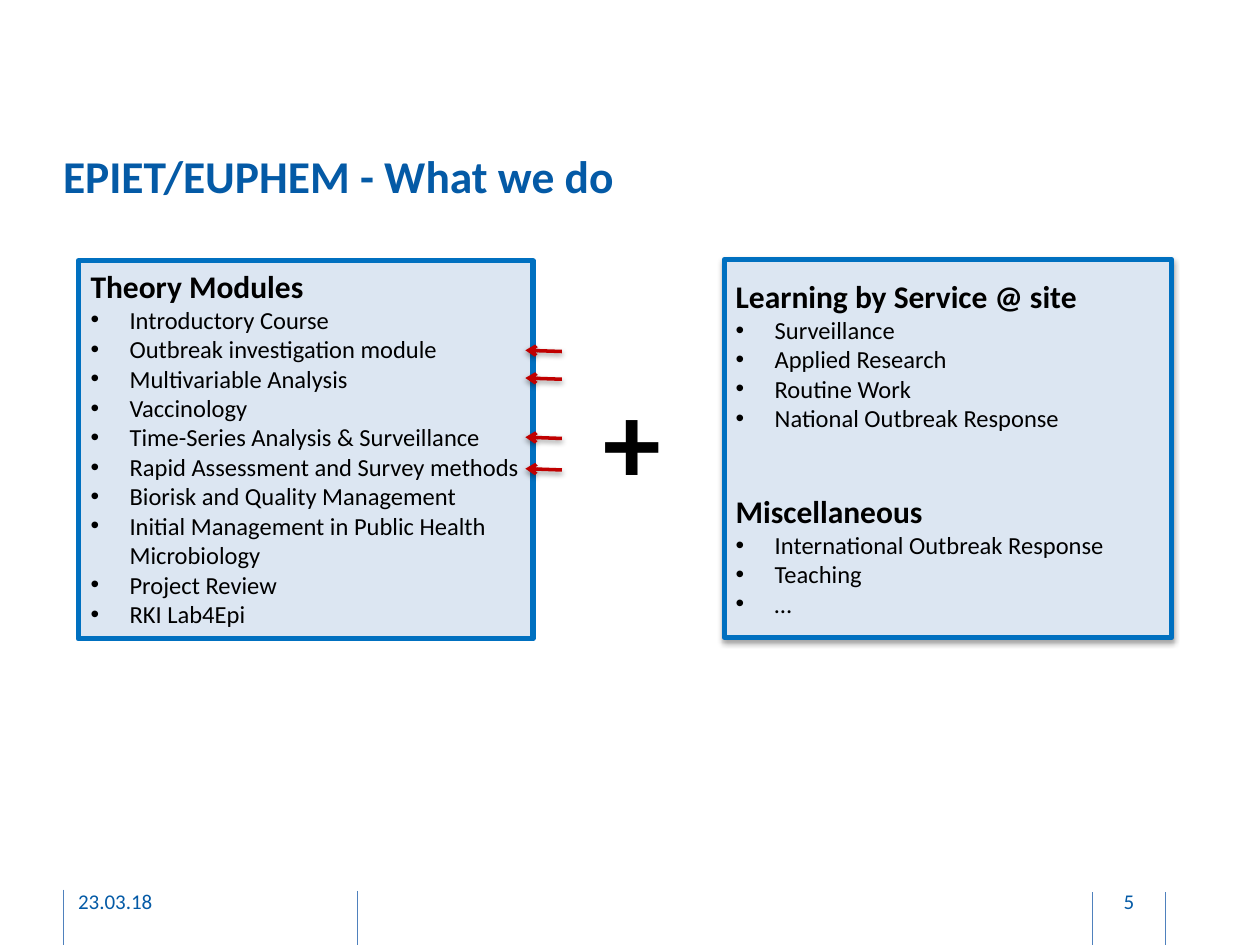
from lxml.etree import SubElement
from pptx import Presentation
from pptx.dml.color import RGBColor
from pptx.enum.shapes import MSO_CONNECTOR, MSO_SHAPE
from pptx.enum.text import MSO_ANCHOR, PP_ALIGN
from pptx.oxml.ns import qn
from pptx.util import Inches, Pt

# Content
TITLE = "EPIET/EUPHEM - What we do"
THEORY = [
    ("Theory Modules", [
        "Introductory Course",
        "Outbreak investigation module",
        "Multivariable Analysis",
        "Vaccinology",
        "Time-Series Analysis & Surveillance",
        "Rapid Assessment and Survey methods",
        "Biorisk and Quality Management",
        "Initial Management in Public Health Microbiology",
        "Project Review",
        "RKI Lab4Epi",
    ]),
]
SERVICE = [
    ("Learning by Service @ site", [
        "Surveillance",
        "Applied Research",
        "Routine Work",
        "National Outbreak Response",
    ]),
    ("Miscellaneous", ["International Outbreak Response", "Teaching", "…"]),
]
# Text, left, width, alignment
FOOTER = [
    ("23.03.18", 0.62, 2.03, PP_ALIGN.LEFT),
    ("5", 8.69, 0.54, PP_ALIGN.CENTER),
]
RULES = [(0.5, 7.06), (2.84, 7.07), (8.67, 7.08), (9.25, 7.08)]
ARROWS = [2.78, 3.0, 3.47, 3.72]

FONT = "Calibri"
BLACK = RGBColor(0x00, 0x00, 0x00)
NAVY = RGBColor(0x04, 0x5A, 0xA6)
BLUE = RGBColor(0x00, 0x70, 0xC0)
PALE = RGBColor(0xDC, 0xE6, 0xF2)
STEEL = RGBColor(0x4F, 0x81, 0xBD)
RED = RGBColor(0xC0, 0x00, 0x00)


def style(para, size, color, bold=False):
    for run in para.runs:
        font = run.font
        font.name, font.size, font.bold = FONT, Pt(size), bold
        font.color.rgb = color


def set_shadow(shape, alpha=0, dist=0):
    """Add a soft shadow below; alpha 0 leaves the shape without one."""
    effects = SubElement(shape._element.spPr, qn("a:effectLst"))
    if alpha:
        outer = SubElement(effects, qn("a:outerShdw"), blurRad=str(Pt(3.1)),
                           dist=str(Pt(dist)), dir="5400000", rotWithShape="0")
        color = SubElement(outer, qn("a:srgbClr"), val="000000")
        SubElement(color, qn("a:alpha"), val=str(alpha * 1000))


def add_line(x1, y1, x2, y2, color, width):
    line = slide.shapes.add_connector(
        MSO_CONNECTOR.STRAIGHT, Inches(x1), Inches(y1), Inches(x2), Inches(y2))
    line.line.color.rgb, line.line.width = color, Pt(width)
    return line


def add_panel(x, y, w, h):
    panel = slide.shapes.add_shape(
        MSO_SHAPE.RECTANGLE, Inches(x), Inches(y), Inches(w), Inches(h))
    panel.fill.solid()
    panel.fill.fore_color.rgb = PALE
    panel.line.color.rgb, panel.line.width = BLUE, Pt(3)
    return panel


def add_box(x, y, w, h, wrap=True):
    box = slide.shapes.add_textbox(Inches(x), Inches(y), Inches(w), Inches(h))
    box.text_frame.word_wrap = wrap
    return box.text_frame


def set_bullet(para):
    props = para._p.get_or_add_pPr()
    props.set("marL", str(Inches(0.31)))
    props.set("indent", str(-Inches(0.31)))
    SubElement(props, qn("a:buFont"), typeface="Arial")
    SubElement(props, qn("a:buChar"), char="•")


def fill_lists(frame, groups):
    frame.word_wrap = True
    frame.vertical_anchor = MSO_ANCHOR.TOP
    for num, (head, items) in enumerate(groups):
        para = frame.add_paragraph() if num else frame.paragraphs[0]
        para.text = head
        para.alignment = PP_ALIGN.LEFT
        if num:
            para.space_before = Pt(34)
        style(para, 18, BLACK, True)
        for item in items:
            para = frame.add_paragraph()
            para.text = item
            para.alignment = PP_ALIGN.LEFT
            set_bullet(para)
            style(para, 14, BLACK)


deck = Presentation()
deck.slide_width, deck.slide_height = Inches(10), Inches(7.5)
slide = deck.slides.add_slide(deck.slide_layouts[5])

# Title
title = slide.shapes.title
title.left, title.top = Inches(0.5), Inches(0.91)
title.width, title.height = Inches(8.73), Inches(0.96)
frame = title.text_frame
frame.text = TITLE
frame.vertical_anchor = MSO_ANCHOR.MIDDLE
frame.margin_left = frame.margin_right = 0
frame.margin_top = frame.margin_bottom = 0
frame.paragraphs[0].alignment = PP_ALIGN.LEFT
style(frame.paragraphs[0], 26, NAVY, True)

# Footer rules and text
for x, y in RULES:
    set_shadow(add_line(x, y, x, y + 0.45, STEEL, 0.5))
for text, x, width, align in FOOTER:
    frame = add_box(x, 6.95, width, 0.4)
    frame.text = text
    frame.vertical_anchor = MSO_ANCHOR.MIDDLE
    frame.margin_left = frame.margin_right = 0
    frame.paragraphs[0].alignment = align
    style(frame.paragraphs[0], 12, NAVY)

# Panels with their lists
theory = add_panel(0.62, 2.07, 3.61, 3)
theory.shadow.inherit = False
fill_lists(theory.text_frame, THEORY)
set_shadow(add_panel(5.75, 2.06, 3.55, 3), 35, 1.8)
fill_lists(add_box(5.74, 2.15, 3.61, 2.83), SERVICE)

# Plus sign
plus = add_box(4.69, 2.88, 0.66, 1.21, wrap=False)
plus.text = "+"
style(plus.paragraphs[0], 66, BLACK, True)

# Arrows to the modules
for y in ARROWS:
    arrow = add_line(4.46, y + 0.01, 4.17, y, RED, 2)
    SubElement(arrow.line._get_or_add_ln(), qn("a:tailEnd"), type="arrow")
    set_shadow(arrow, 38, 1.6)

deck.save("out.pptx")
